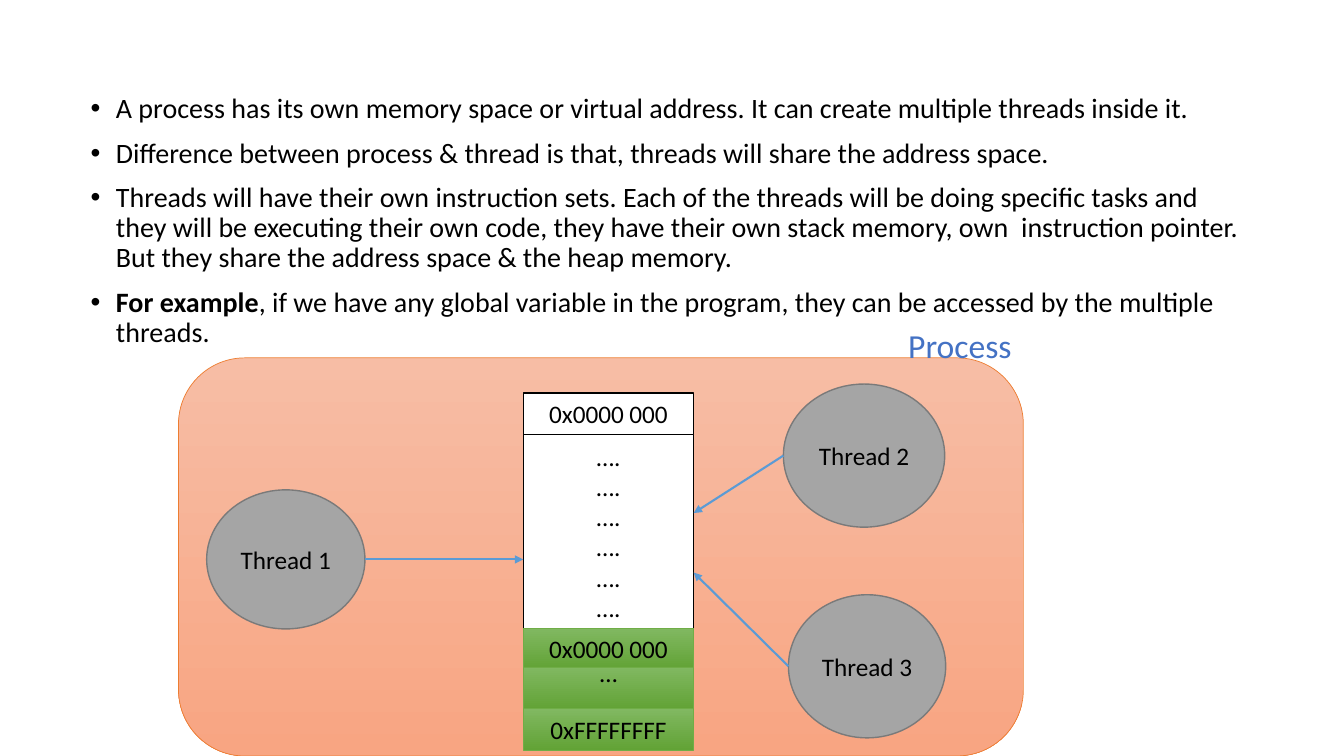
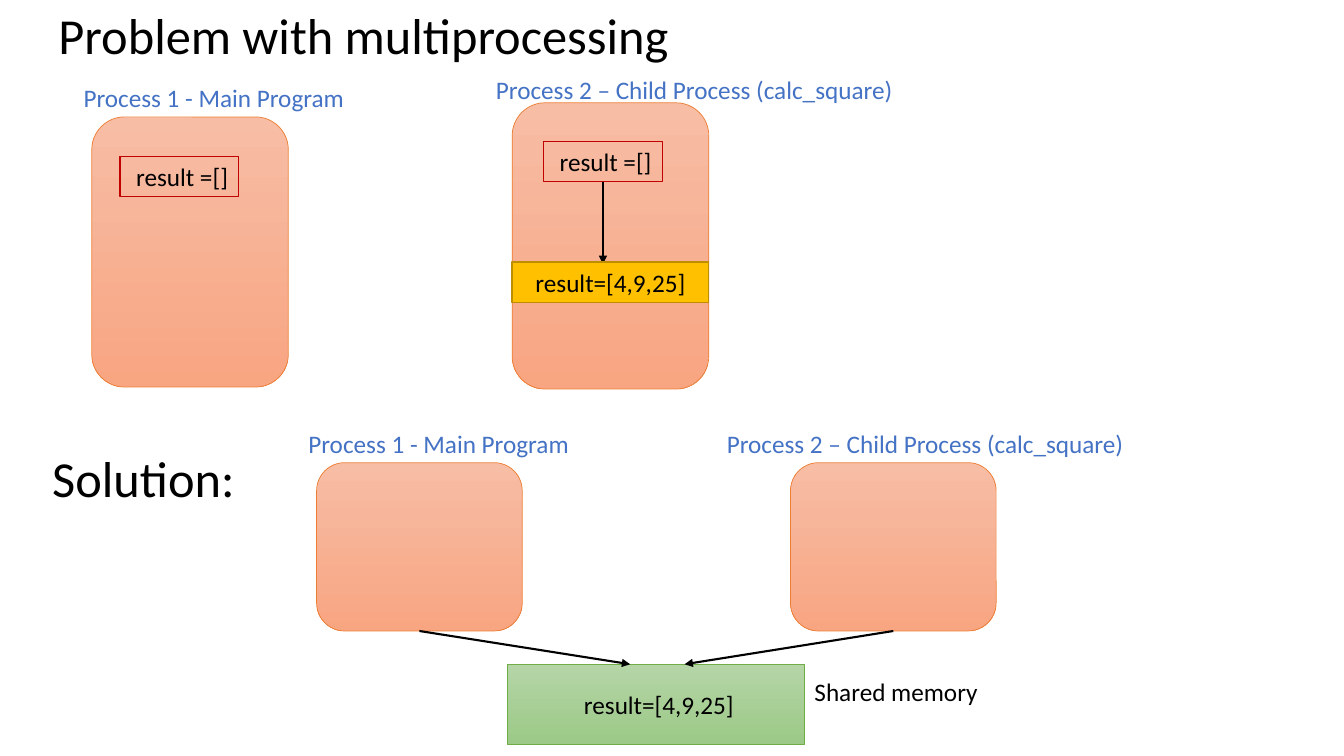
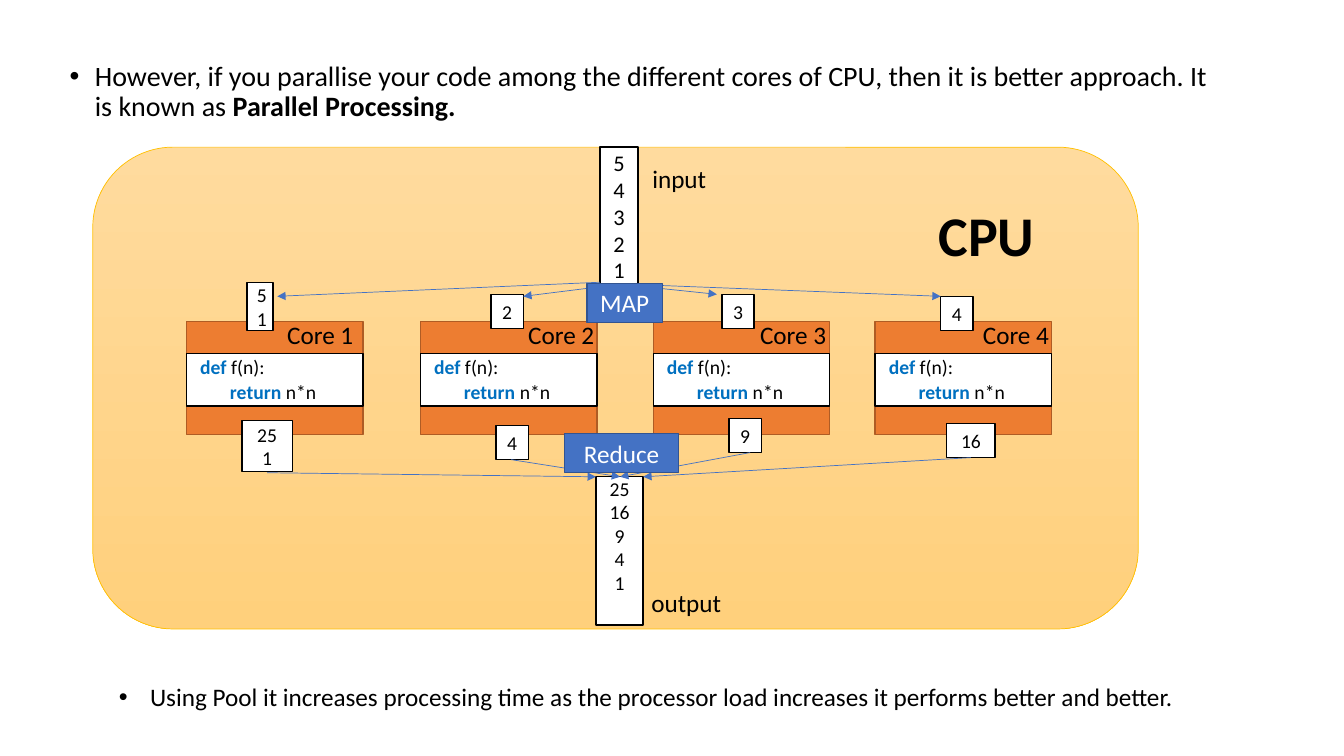
from lxml.etree import SubElement
from pptx import Presentation
from pptx.dml.color import RGBColor
from pptx.enum.shapes import MSO_CONNECTOR as CONNECTOR, MSO_SHAPE as SHAPE
from pptx.enum.text import MSO_ANCHOR as ANCHOR, MSO_AUTO_SIZE as FIT, PP_ALIGN as ALIGN
from pptx.oxml.ns import qn
from pptx.util import Inches, Pt

FONT = "Calibri"
BLACK, WHITE, BLUE = "000000", "FFFFFF", "4472C4"
SKY, KEYWORD = "5B9BD5", "0070C0"
PEACH = dict(fill=("F7BDA5", "F8A582"), line="ED7D31", weight=0.5)
LEAF = dict(fill=("81B861", "62A336"), line="70AD47", weight=0.5)
MINT = dict(fill=("B5D5A7", "9CC987"), line="70AD47", weight=0.5)
GOLD = dict(fill=("FFDB9E", "FFD07C"), line="FFC000", weight=0.5)
PAPER = dict(fill=WHITE, line=BLACK)
GREY = dict(fill="A5A5A5", line="7A7A7A")
ORANGE = dict(fill="ED7D31", line="AF5C24")
AMBER = dict(fill="FFC000", line="BD8E00")
STEP = dict(fill=BLUE, line="325491")
INSETS = (0.1, 0.05, 0.1, 0.05)
SHIFTED = (0.16, 0.05, 0.1, 0.05)


def rgb(color):
    return RGBColor.from_string(color)


def place(item, left, top, width, height):
    item.left, item.top = Inches(left), Inches(top)
    item.width, item.height = Inches(width), Inches(height)


def add_bullet(para, hang):
    props = para._p.get_or_add_pPr()
    props.set("marL", str(Inches(hang)))
    props.set("indent", str(-Inches(hang)))
    SubElement(props, qn("a:buFont"), typeface="Arial")
    SubElement(props, qn("a:buChar"), char="•")


def write(frame, paras, size=18, color=BLACK, bold=False, align=ALIGN.LEFT,
          anchor=ANCHOR.TOP, insets=INSETS, wrap=True, spacing=None, gap=0, hang=0):
    frame.word_wrap = wrap
    frame.auto_size = FIT.NONE if wrap else FIT.SHAPE_TO_FIT_TEXT
    frame.vertical_anchor = anchor
    (frame.margin_left, frame.margin_top,
     frame.margin_right, frame.margin_bottom) = map(Inches, insets)
    for index, spans in enumerate(paras):
        para = frame.add_paragraph() if index else frame.paragraphs[0]
        para.alignment = align
        para.space_before = Pt(gap if index else 0)
        if spacing:
            para.line_spacing = spacing
        if hang:
            add_bullet(para, hang)
        for span in [spans] if isinstance(spans, str) else spans:
            text, style = (span, {}) if isinstance(span, str) else span
            run = para.add_run()
            run.text = text
            run.font.name = FONT
            run.font.size = Pt(style.get("size", size))
            run.font.bold = style.get("bold", bold)
            run.font.color.rgb = rgb(style.get("color", color))


def add_label(page, left, top, width, height, *paras, wrap=False, **style):
    box = page.shapes.add_textbox(0, 0, 0, 0)
    write(box.text_frame, paras, wrap=wrap, **style)
    place(box, left, top, width, height)


def add_block(page, left, top, width, height, *paras, kind=SHAPE.RECTANGLE, fill=None,
              line=BLACK, weight=1, align=ALIGN.CENTER, anchor=ANCHOR.MIDDLE, **style):
    block = page.shapes.add_shape(kind, 0, 0, 0, 0)
    block.shadow.inherit = False
    if fill is None:
        block.fill.background()
    elif isinstance(fill, str):
        block.fill.solid()
        block.fill.fore_color.rgb = rgb(fill)
    else:
        block.fill.gradient()
        block.fill.gradient_angle = 270
        for stop, color in zip(block.fill.gradient_stops, fill):
            stop.color.rgb = rgb(color)
    block.line.color.rgb = rgb(line)
    block.line.width = Pt(weight)
    if paras:
        write(block.text_frame, paras, align=align, anchor=anchor, **style)
    place(block, left, top, width, height)


def add_arrow(page, start, end, color=BLACK, weight=1.5):
    arrow = page.shapes.add_connector(CONNECTOR.STRAIGHT, *map(Inches, start + end))
    arrow.line.color.rgb = rgb(color)
    arrow.line.width = Pt(weight)
    props = arrow._element.spPr
    SubElement(props.find(qn("a:ln")), qn("a:tailEnd"), type="triangle")
    SubElement(props, qn("a:effectLst"))


def add_body_page(deck, area, *paras):
    page = deck.slides.add_slide(deck.slide_layouts[1])
    title = page.shapes.title.element
    title.getparent().remove(title)
    body = page.placeholders[1]
    place(body, *area)
    write(body.text_frame, paras, size=20, spacing=0.9, gap=10, hang=0.25)
    return page


def add_process(page, area, name, label_area):
    add_block(page, *area, kind=SHAPE.ROUNDED_RECTANGLE, **PEACH)
    add_label(page, *label_area, name, color=BLUE)


def build_threads(deck):
    page = add_body_page(
        deck, (0.8, 0.89, 11.62, 2.78),
        "A process has its own memory space or virtual address. It can create multiple threads inside it.",
        "Difference between process & thread is that, threads will share the address space.",
        "Threads will have their own instruction sets. Each of the threads will be doing specific tasks "
        "and they will be executing their own code, they have their own stack memory, own  instruction "
        "pointer. But they share the address space & the heap memory.",
        [("For example", {"bold": True}),
         ", if we have any global variable in the program, they can be accessed by the multiple threads."])
    add_block(page, 1.77, 3.55, 8.38, 3.95, kind=SHAPE.ROUNDED_RECTANGLE, **PEACH)
    add_label(page, 8.91, 3.17, 1.24, 0.5, "Process", size=24, color=BLUE)

    memory = [
        (3.9, 0.41, ["0x0000 000"], PAPER, INSETS),
        (4.31, 1.93, ["…."] * 6, PAPER, INSETS),
        (6.23, 0.41, ["0x0000 000"], LEAF, INSETS),
        (6.62, 0.41, ["…"], LEAF, (0.1, 0, 0.1, 0.31)),
        (7.03, 0.41, ["0xFFFFFFFF"], LEAF, INSETS),
    ]
    for top, height, paras, look, insets in memory:
        add_block(page, 5.19, top, 1.69, height, *paras, insets=insets, **look)

    threads = [
        ("Thread 2", (7.77, 3.81, 1.6, 1.42), (7.77, 4.52), (6.88, 5.09)),
        ("Thread 3", (7.82, 5.9, 1.56, 1.42), (7.82, 6.61), (6.88, 5.68)),
        ("Thread 1", (2.05, 4.86, 1.57, 1.38), (3.62, 5.55), (5.19, 5.55)),
    ]
    for name, area, start, end in threads:
        add_block(page, *area, name, kind=SHAPE.OVAL, **GREY)
        add_arrow(page, start, end, SKY)


def build_multiprocessing(deck):
    page = deck.slides.add_slide(deck.slide_layouts[5])
    heading = dict(size=36, spacing=0.9, anchor=ANCHOR.MIDDLE)
    title = page.shapes.title
    place(title, 0.48, 0.05, 8.41, 0.66)
    write(title.text_frame, ["Problem with multiprocessing"], **heading)
    add_label(page, 0.42, 4.44, 2.33, 0.66, "Solution:", wrap=True, **heading)

    main_name = "Process 1 - Main Program"
    child_name = "Process 2 – Child Process (calc_square)"
    add_process(page, (0.91, 1.16, 1.95, 2.68), main_name, (0.73, 0.77, 2.81, 0.4))
    add_process(page, (5.08, 1.02, 1.95, 2.84), child_name, (4.82, 0.69, 4.18, 0.4))
    add_process(page, (3.14, 4.59, 2.04, 1.67), main_name, (2.96, 4.2, 2.81, 0.4))
    add_process(page, (7.84, 4.59, 2.04, 1.67), child_name, (7.11, 4.2, 4.18, 0.4))

    for left, top in [(1.19, 1.55), (5.39, 1.4)]:
        add_block(page, left, top, 1.18, 0.4, "result =[]", line="C00000", weight=0.75,
                  align=ALIGN.LEFT, anchor=ANCHOR.TOP, insets=SHIFTED, wrap=False)
    add_arrow(page, (5.98, 1.81), (5.98, 2.62))
    add_block(page, 5.08, 2.6, 1.95, 0.4, "result=[4,9,25]", **AMBER)

    add_block(page, 5.03, 6.59, 2.95, 0.79, "result=[4,9,25]", insets=SHIFTED, **MINT)
    add_label(page, 7.98, 6.66, 1.84, 0.4, "Shared memory")
    add_arrow(page, (4.16, 6.26), (6.25, 6.59))
    add_arrow(page, (8.86, 6.26), (6.79, 6.59))


def add_core(page, name, left, label_left):
    keyword = dict(size=14, color=KEYWORD, bold=True)
    plain = dict(size=14)
    add_block(page, left, 3.19, 1.75, 1.12, **ORANGE)
    add_label(page, label_left, 3.12, 0.87, 0.4, name)
    add_block(page, left, 3.51, 1.75, 0.52, **PAPER)
    add_label(page, left - 0.02, 3.42, 1.41, 0.64,
              [" ", ("def", keyword), (" f(n):", plain)],
              [("        ", plain), ("return", keyword), (" n*n", plain)])


def build_parallel(deck):
    page = add_body_page(
        deck, (0.59, 0.57, 11.5, 1.17),
        ["However, if you parallise your code among the different cores of CPU, then it is better "
         "approach. It is known as ", ("Parallel Processing.", {"bold": True})])
    add_block(page, 0.92, 1.46, 10.37, 4.78, kind=SHAPE.ROUNDED_RECTANGLE, **GOLD)
    add_label(page, 9.21, 1.94, 1.16, 0.77, "CPU", size=40, bold=True)

    cores = [(1.85, 2.75), (4.17, 5.14), (6.48, 7.44), (8.68, 9.65)]
    for number, (left, label_left) in enumerate(cores, 1):
        add_core(page, f"Core {number}", left, label_left)

    add_block(page, 5.95, 1.46, 0.38, 1.37, *"54321", size=16, **PAPER)
    add_label(page, 6.31, 1.57, 0.8, 0.4, "input", insets=SHIFTED)
    add_block(page, 5.91, 4.73, 0.47, 1.47, "25", "16", "9", "4", "1", size=14,
              anchor=ANCHOR.TOP, insets=(0.1, 0, 0.1, 0), **PAPER)
    add_label(page, 6.3, 5.78, 0.96, 0.4, "output", insets=SHIFTED)

    values = [
        ((2.45, 2.8, 0.26, 0.48), ["5", "1"]),
        ((4.87, 2.92, 0.32, 0.34), ["2"]),
        ((7.16, 2.92, 0.32, 0.34), ["3"]),
        ((9.33, 2.94, 0.32, 0.34), ["4"]),
        ((2.4, 4.17, 0.5, 0.51), ["25", "1"]),
        ((4.92, 4.22, 0.32, 0.34), ["4"]),
        ((7.23, 4.15, 0.32, 0.34), ["9"]),
        ((9.39, 4.2, 0.48, 0.34), ["16"]),
    ]
    for area, paras in values:
        add_block(page, *area, *paras, size=14, **PAPER)

    arrows = [
        ((5.95, 2.8), (2.75, 2.94)),
        ((6.15, 2.82), (5.19, 2.94)),
        ((6.15, 2.82), (7.11, 2.92)),
        ((6.23, 2.82), (9.33, 2.94)),
        ((5.07, 4.56), (6.15, 4.73)),
        ((7.44, 4.49), (6.15, 4.73)),
        ((9.63, 4.54), (6.38, 4.73)),
        ((2.65, 4.69), (5.91, 4.73)),
    ]
    for start, end in arrows:
        add_arrow(page, start, end, BLUE, 0.5)

    add_block(page, 5.82, 2.81, 0.75, 0.39, "MAP", color=WHITE, **STEP)
    add_block(page, 5.6, 4.3, 1.13, 0.39, "Reduce", color=WHITE, **STEP)
    add_label(page, 1.08, 6.71, 10.73, 0.4,
              "Using Pool it increases processing time as the processor load increases "
              "it performs better and better.", hang=0.31)


def main():
    deck = Presentation()
    deck.slide_width, deck.slide_height = Inches(13.33), Inches(7.5)
    build_threads(deck)
    build_multiprocessing(deck)
    build_parallel(deck)
    deck.save("out.pptx")


if __name__ == "__main__":
    main()
